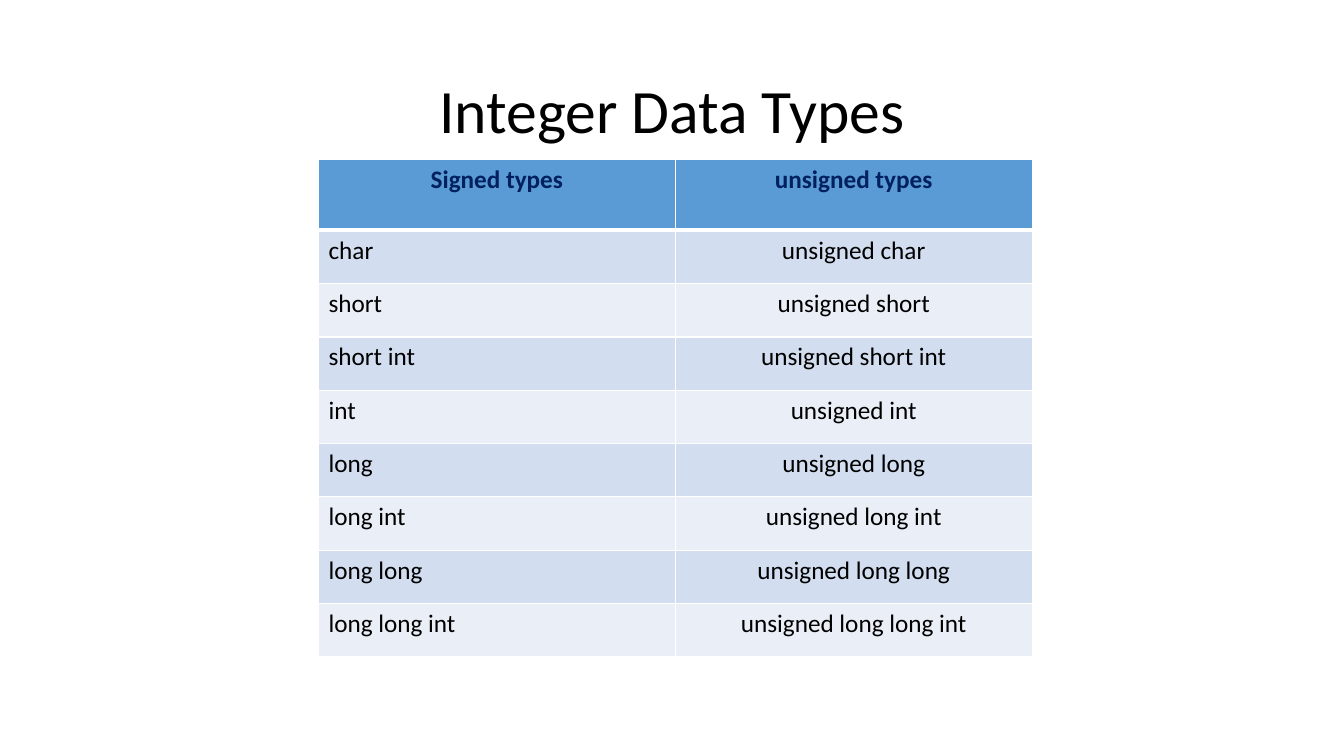
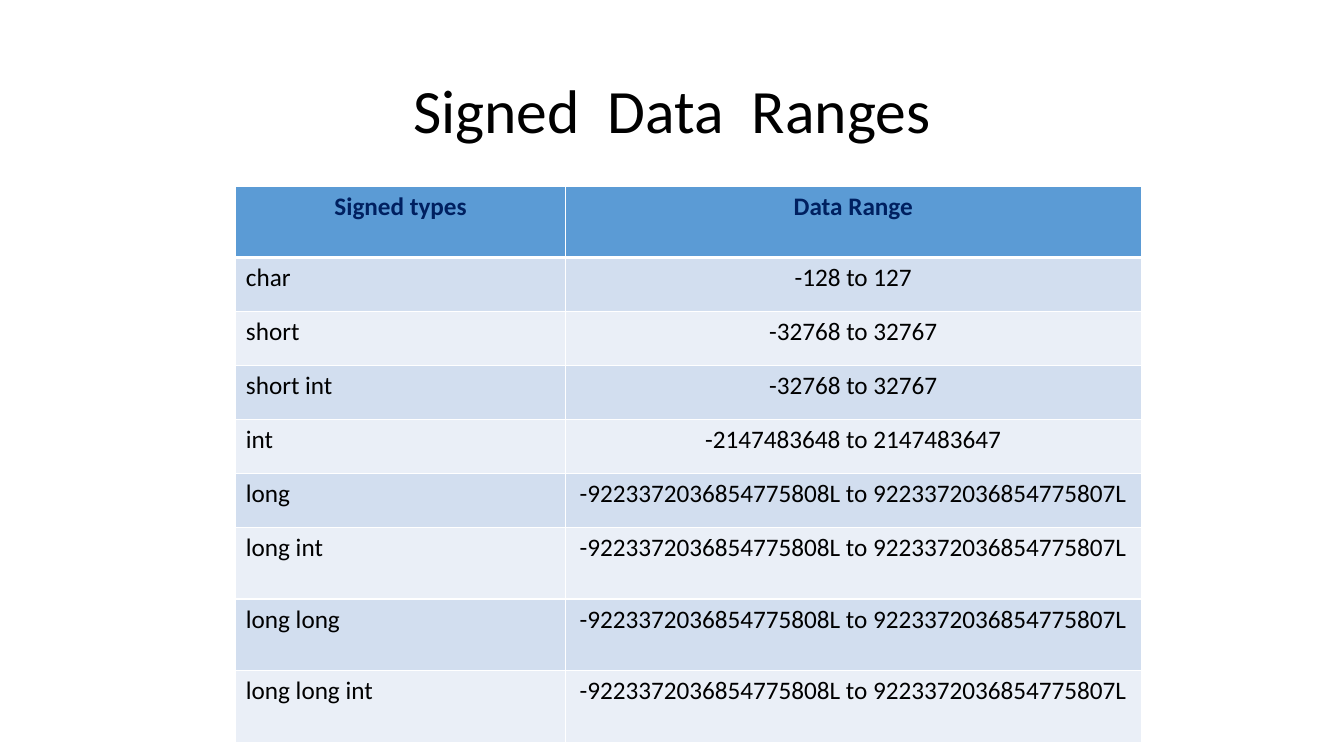
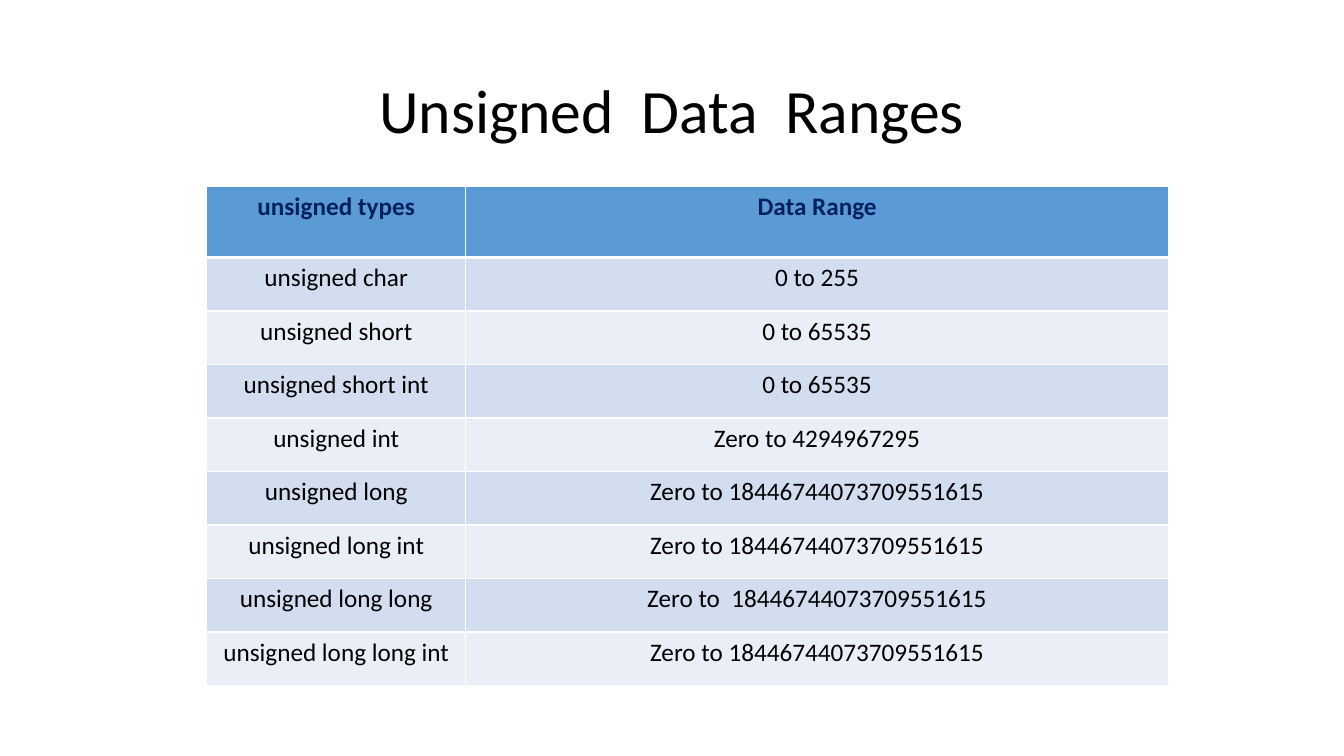
import pptx
import pptx.dml.color
import pptx.enum.text
import pptx.oxml
import pptx.oxml.ns
import pptx.util

RGBColor = pptx.dml.color.RGBColor
BLACK = RGBColor(0x00, 0x00, 0x00)
WHITE = RGBColor(0xFF, 0xFF, 0xFF)
NAVY = RGBColor(0x00, 0x20, 0x60)
BLUE = RGBColor(0x5B, 0x9B, 0xD5)
BANDS = (RGBColor(0xD2, 0xDE, 0xEF), RGBColor(0xEA, 0xEF, 0xF7))
LEFT = pptx.enum.text.PP_ALIGN.LEFT
CENTER = pptx.enum.text.PP_ALIGN.CENTER
MIDDLE = pptx.enum.text.MSO_ANCHOR.MIDDLE


class Deck:
    """Shared style and the current slide, on a grid of 100 columns by 100 rows."""

    FONT = "Calibri"
    TITLE_BOX = (6.88, 5.33, 86.25, 19.33)
    HEADER_ROW = 9.4

    def __init__(self):
        self.prs = pptx.Presentation()
        self.prs.slide_width = pptx.util.Inches(13.33)
        self.prs.slide_height = pptx.util.Inches(7.5)
        self.slide = None

    def x(self, columns):
        return round(self.prs.slide_width * columns / 100)

    def y(self, rows):
        return round(self.prs.slide_height * rows / 100)

    def set_text(self, tf, text, size, color, align, bold=False):
        p = tf.paragraphs[0]
        p.text = text
        p.alignment = align
        p.font.name = self.FONT
        p.font.size = pptx.util.Pt(size)
        p.font.bold = bold
        p.font.color.rgb = color
        return p

    def new_slide(self, title):
        self.slide = self.prs.slides.add_slide(self.prs.slide_layouts[5])
        sp = self.slide.shapes.title
        left, top, width, height = self.TITLE_BOX
        sp.left, sp.top = self.x(left), self.y(top)
        sp.width, sp.height = self.x(width), self.y(height)
        sp.text_frame.vertical_anchor = MIDDLE
        p = self.set_text(sp.text_frame, title, 44, BLACK, CENTER)
        p.line_spacing = 0.9

    def borders(self, cell, top, bottom):
        tc_pr = cell._tc.get_or_add_tcPr()
        for side, points in (("L", 1), ("R", 1), ("T", top), ("B", bottom)):
            tc_pr.append(pptx.oxml.parse_xml(
                f'<a:ln{side} {pptx.oxml.ns.nsdecls("a")} w="{int(pptx.util.Pt(points))}">'
                f'<a:solidFill><a:srgbClr val="{WHITE}"/></a:solidFill></a:ln{side}>'))

    def table(self, left, top, widths, heights, rows, first_align=LEFT):
        heights = [self.HEADER_ROW] + heights
        table = self.slide.shapes.add_table(
            len(rows), len(widths), self.x(left), self.y(top),
            self.x(sum(widths)), self.y(sum(heights))).table
        table.horz_banding = False
        for column, width in zip(table.columns, widths):
            column.width = self.x(width)
        for i, (row, height, texts) in enumerate(zip(table.rows, heights, rows)):
            row.height = self.y(height)
            header = i == 0
            for j, (cell, text) in enumerate(zip(row.cells, texts)):
                # A thick rule parts the header from the body
                self.borders(cell, 3 if i == 1 else 1, 3 if header else 1)
                cell.fill.solid()
                cell.fill.fore_color.rgb = BLUE if header else BANDS[(i - 1) % 2]
                align = CENTER if header or j > 0 else first_align
                self.set_text(cell.text_frame, text, 18,
                              NAVY if header else BLACK, align, header)


# Type names and ranges
SIGNED = ["char", "short", "short int", "int",
          "long", "long int", "long long", "long long int"]
UNSIGNED = [f"unsigned {name}" for name in SIGNED]
LONG_RANGE = "-9223372036854775808L to 9223372036854775807L"
SIGNED_RANGES = ["-128 to 127"] + ["-32768 to 32767"] * 2 + [
    "-2147483648 to 2147483647"] + [LONG_RANGE] * 4
BIG_RANGE = "Zero to 18446744073709551615"
UNSIGNED_RANGES = ["0 to 255"] + ["0 to 65535"] * 2 + [
    "Zero to 4294967295", BIG_RANGE, BIG_RANGE,
    "Zero to  18446744073709551615", BIG_RANGE]

deck = Deck()

# Integer types
deck.new_slide("Integer Data Types")
deck.table(23.7, 21.07, [26.55, 26.55], [7.05] * 8,
           [("Signed types", "unsigned types"), *zip(SIGNED, UNSIGNED)])

# Signed ranges
deck.new_slide("Signed  Data  Ranges")
deck.table(17.55, 24.67, [24.52, 42.84], [7.14] * 5 + [9.47] * 3,
           [("Signed types", "Data Range"), *zip(SIGNED, SIGNED_RANGES)])

# Unsigned ranges
deck.new_slide("Unsigned  Data  Ranges")
deck.table(15.38, 24.67, [19.28, 52.28], [7.08] * 8,
           [("unsigned types", "Data Range"), *zip(UNSIGNED, UNSIGNED_RANGES)],
           first_align=CENTER)

deck.prs.save("out.pptx")
